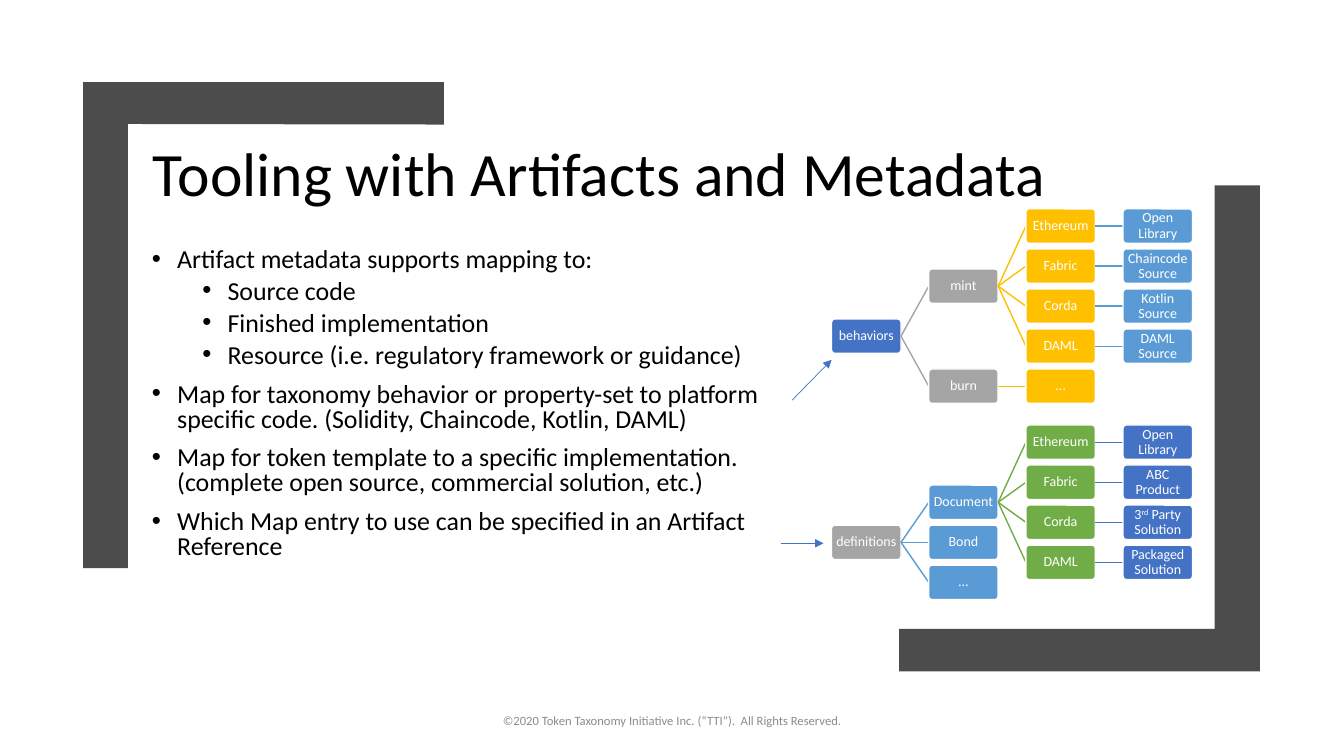
from lxml import etree
from pptx import Presentation
from pptx.dml.color import RGBColor
from pptx.enum import shapes, text
from pptx.oxml import ns
from pptx.util import Pt

color = RGBColor.from_string
BLUE, GRAY, GOLD, SKY, GREEN = "4472C4", "A5A5A5", "FFC000", "5B9BD5", "70AD47"


def style_paragraph(para, size, hex_color, spacing):
    para.line_spacing = spacing
    for span in para.runs:
        span.font.size = Pt(size)
        span.font.name = "Calibri"
        span.font.color.rgb = color(hex_color)


def draw_link(x1, y1, x2, y2, hex_color, width):
    """Draw a straight line without a shadow."""
    link = page.shapes.add_connector(
        shapes.MSO_CONNECTOR.STRAIGHT, Pt(x1), Pt(y1), Pt(x2), Pt(y2))
    link.line.color.rgb = color(hex_color)
    link.line.width = Pt(width)
    etree.SubElement(link._element.spPr, ns.qn("a:effectLst"))
    return link


deck = Presentation()
deck.slide_width, deck.slide_height = Pt(960), Pt(540)
page = deck.slides.add_slide(deck.slide_layouts[6])

# Title
box = page.shapes.add_textbox(Pt(102.2), Pt(74.2), Pt(718.6), Pt(104.4))
frame = box.text_frame
frame.word_wrap = True
frame.vertical_anchor = text.MSO_ANCHOR.MIDDLE
frame.text = "Tooling with Artifacts and Metadata"
style_paragraph(frame.paragraphs[0], 44, "000000", 0.9)

# Bullets: level and wording
bullets = [
    (0, "Artifact metadata supports mapping to:"),
    (1, "Source code"),
    (1, "Finished implementation"),
    (1, "Resource (i.e. regulatory framework or guidance)"),
    (0, "Map for taxonomy behavior or property-set to platform specific code. "
        "(Solidity, Chaincode, Kotlin, DAML)"),
    (0, "Map for token template to a specific implementation. "
        "(complete open source, commercial solution, etc.)"),
    (0, "Which Map entry to use can be specified in an Artifact Reference"),
]
box = page.shapes.add_textbox(Pt(101.5), Pt(174.2), Pt(477.4), Pt(242.6))
frame = box.text_frame
frame.word_wrap = True
for index, (level, wording) in enumerate(bullets):
    para = frame.add_paragraph() if index else frame.paragraphs[0]
    para.text = wording
    para.level = level
    properties = para._p.get_or_add_pPr()
    properties.set("marL", str(Pt(18 + 36 * level)))
    properties.set("indent", str(Pt(-18)))
    font = etree.SubElement(properties, ns.qn("a:buFont"))
    font.set("typeface", "Arial")
    bullet = etree.SubElement(properties, ns.qn("a:buChar"))
    bullet.set("char", "•")
    if index:
        para.space_before = Pt(5 if level else 10)
    style_paragraph(para, 18.5, "000000", 0.8)

# Corner brackets
brackets = [
    [(59.3, 405.9), (59.3, 58.7), (317, 58.7), (317, 89), (91.4, 88.6), (91.4, 405.9)],
    [(867.6, 132.5), (900, 132.5), (900, 479.5), (642.2, 479.5), (642.2, 449.3),
     (867.6, 449.3)],
]
for corners in brackets:
    points = [(Pt(x), Pt(y)) for x, y in corners]
    builder = page.shapes.build_freeform(*points[0])
    builder.add_line_segments(points[1:])
    bracket = builder.convert_to_shape()
    bracket.shadow.inherit = False
    bracket.fill.solid()
    bracket.fill.fore_color.rgb = color("4C4C4C")
    bracket.line.fill.background()

# Footer
box = page.shapes.add_textbox(Pt(318), Pt(500.6), Pt(324), Pt(28.8))
frame = box.text_frame
frame.word_wrap = True
frame.vertical_anchor = text.MSO_ANCHOR.MIDDLE
frame.text = "©2020 Token Taxonomy Initiative Inc. (“TTI”).  All Rights Reserved."
para = frame.paragraphs[0]
para.alignment = text.PP_ALIGN.CENTER
para.space_after = Pt(6)
style_paragraph(para, 9, "8C8C8C", 0.9)

# Trees: top, fill of each column, nodes as (column, row, parent row, label);
# ^ marks off superscript
platforms = ["Ethereum", "Fabric", "Corda", "DAML"]
platform_nodes = [(2, row, 1.5, name) for row, name in enumerate(platforms)]
behavior_sources = ["Open Library", "Chaincode Source", "Kotlin Source", "DAML Source"]
definition_sources = ["Open Library", "ABC Product", "3^rd^ Party Solution",
                      "Packaged Solution"]
trees = [
    (149.2, [BLUE, GRAY, GOLD, SKY], behavior_sources,
     [(0, 2.75, None, "behaviors"), (1, 1.5, 2.75, "mint"),
      (1, 4, 2.75, "burn"), (2, 4, 4, "…")]),
    (303.6, [GRAY, SKY, GREEN, BLUE], definition_sources,
     [(0, 2.5, None, "definitions"), (1, 1.5, 2.5, "Document"),
      (1, 2.5, 2.5, "Bond"), (1, 3.5, 2.5, "…")]),
]
LEFT, COLUMN_STEP, ROW_STEP = 594, 69.4, 28.6
NODE_WIDTH, NODE_HEIGHT = 49.6, 24.6
for top, fills, sources, branches in trees:
    source_nodes = [(3, row, row, name) for row, name in enumerate(sources)]
    for column, row, parent_row, label in branches + platform_nodes + source_nodes:
        x, y = LEFT + column * COLUMN_STEP, top + row * ROW_STEP
        if parent_row is not None:
            parent_y = top + parent_row * ROW_STEP
            draw_link(x - COLUMN_STEP + NODE_WIDTH, parent_y + NODE_HEIGHT / 2,
                      x, y + NODE_HEIGHT / 2, fills[column], 1)
        node = page.shapes.add_shape(shapes.MSO_SHAPE.ROUNDED_RECTANGLE,
                                     Pt(x), Pt(y), Pt(NODE_WIDTH), Pt(NODE_HEIGHT))
        node.adjustments[0] = 0.1
        node.shadow.inherit = False
        node.fill.solid()
        node.fill.fore_color.rgb = color(fills[column])
        node.line.color.rgb = color("FFFFFF")
        node.line.width = Pt(1)
        frame = node.text_frame
        frame.word_wrap = True
        frame.vertical_anchor = text.MSO_ANCHOR.MIDDLE
        frame.margin_left = frame.margin_right = Pt(0.7)
        frame.margin_top = frame.margin_bottom = Pt(0.7)
        para = frame.paragraphs[0]
        para.alignment = text.PP_ALIGN.CENTER
        for part, wording in enumerate(label.split("^")):
            span = para.add_run()
            span.text = wording
            if part % 2:
                span._r.get_or_add_rPr().set("baseline", "30000")
        style_paragraph(para, 10, "FFFFFF", 0.9)

# Arrows from the bullets to the trees
for ends in [(565.9, 285.8, 594, 257), (558, 388.1, 588.2, 388.1)]:
    arrow = draw_link(*ends, BLUE, 0.5)
    head = etree.SubElement(arrow.line._get_or_add_ln(), ns.qn("a:tailEnd"))
    head.set("type", "triangle")

deck.save("out.pptx")
